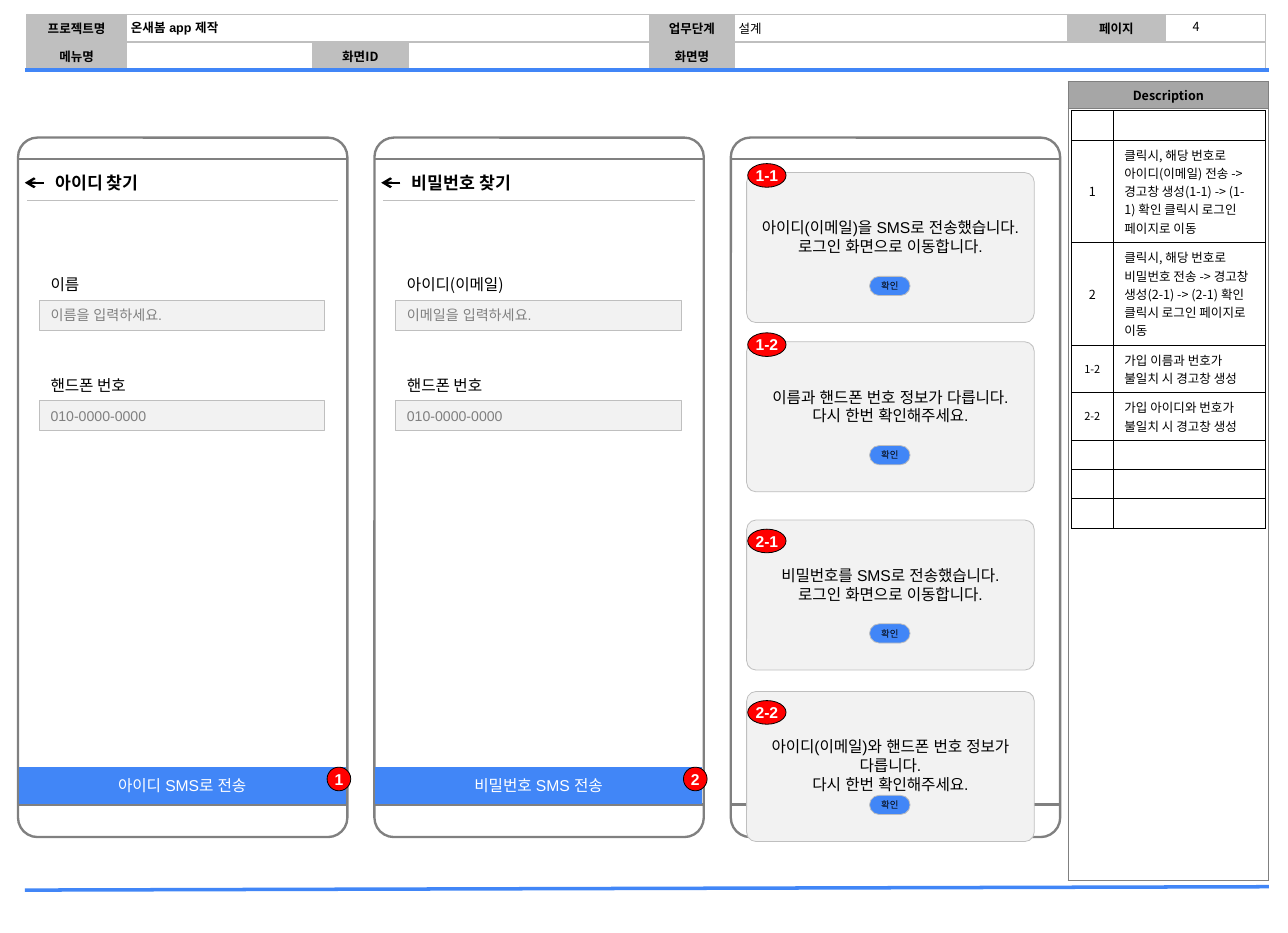
from dataclasses import dataclass
from lxml import etree
from pptx import Presentation
from pptx.dml.color import RGBColor
from pptx.enum.shapes import MSO_CONNECTOR as CONN, MSO_SHAPE as SHAPE
from pptx.enum.text import MSO_ANCHOR as ANCHOR, PP_ALIGN as ALIGN
from pptx.oxml.ns import qn
from pptx.util import Inches, Pt

# Content
HEADER = [
    ["프로젝트명", "온새봄 app 제작", "", "", "업무단계", "설계", "페이지", ""],
    ["메뉴명", "", "화면ID", "", "화면명", "", "", ""],
]
HEADER_LABELS = {"프로젝트명", "업무단계", "페이지", "메뉴명", "화면ID", "화면명"}
HEADER_COLS = [0.88, 1.65, 0.85, 2.14, 0.75, 2.96, 0.86, 0.89]
PAGE = "4"
DESCRIPTIONS = [  # number, text, row height
    ("", "", 0.26),
    ("1", "클릭시, 해당 번호로 아이디(이메일) 전송 -> 경고창 생성(1-1) -> (1-1) 확인 클릭시 로그인 페이지로 이동", 0.91),
    ("2", "클릭시, 해당 번호로 비밀번호 전송 -> 경고창 생성(2-1) -> (2-1) 확인 클릭시 로그인 페이지로 이동", 0.91),
    ("1-2", "가입 이름과 번호가 불일치 시 경고창 생성", 0.42),
    ("2-2", "가입 아이디와 번호가 불일치 시 경고창 생성", 0.42),
    ("", "", 0.26), ("", "", 0.26), ("", "", 0.26),
]
PHONE_FIELD = ("핸드폰 번호", "010-0000-0000")
SCREENS = [  # heading, fields, button, badge
    ("아이디 찾기", [("이름", "이름을 입력하세요."), PHONE_FIELD], "아이디 SMS로 전송", "1"),
    ("비밀번호 찾기", [("아이디(이메일)", "이메일을 입력하세요."), PHONE_FIELD], "비밀번호 SMS 전송", "2"),
]
DIALOGS = [  # badge, top, badge offset, paragraphs
    ("1-1", 1.53, -0.08, ["아이디(이메일)을 SMS로 전송했습니다. 로그인 화면으로 이동합니다."]),
    ("1-2", 3.03, -0.08, ["이름과 핸드폰 번호 정보가 다릅니다. 다시 한번 확인해주세요."]),
    ("2-1", 4.61, 0.08, ["비밀번호를 SMS로 전송했습니다. 로그인 화면으로 이동합니다."]),
    ("2-2", 6.13, 0.08, ["아이디(이메일)와 핸드폰 번호 정보가 다릅니다.", "다시 한번 확인해주세요."]),
]
CONFIRM = "확인"


@dataclass(frozen=True)
class Theme:
    sans: str = "Noto Sans CJK KR"
    arial: str = "Arial"
    black: str = "000000"
    white: str = "FFFFFF"
    blue: str = "4186F7"
    red: str = "FF0000"
    dark: str = "808080"
    head: str = "A6A6A6"
    mid: str = "BFBFBF"
    pale: str = "F2F2F2"
    heading: int = 11
    body: int = 10
    hint: int = 9
    small: int = 8
    note: int = 7
    tiny: int = 6


T = Theme()
PHONE_X, PHONE_Y, PHONE_W, PHONE_H, PHONE_STEP = 0.16, 1.22, 2.92, 6.2, 3.16

prs = Presentation()
prs.slide_width, prs.slide_height = Inches(11.42), Inches(8.27)
s = prs.slides.add_slide(prs.slide_layouts[6])


def rgb(color):
    return RGBColor.from_string(color)


def write(tf, lines, size, font=T.sans, color=T.black, bold=False, align=ALIGN.LEFT):
    for i, line in enumerate(lines):
        p = tf.paragraphs[0] if i == 0 else tf.add_paragraph()
        p.alignment = align
        r = p.add_run()
        r.text = line
        r.font.size, r.font.bold, r.font.name = Pt(size), bold, font
        r.font.color.rgb = rgb(color)
        etree.SubElement(r.font._element, qn("a:ea"), typeface=font)


def set_insets(tf, left, top, right, bottom):
    tf.margin_left, tf.margin_top = Inches(left), Inches(top)
    tf.margin_right, tf.margin_bottom = Inches(right), Inches(bottom)


def add_box(kind, x, y, w, h, fill, line, width=0.5, adj=None, lines=(),
            insets=(0.1, 0.05, 0.1, 0.05), anchor=ANCHOR.MIDDLE, **style):
    sp = s.shapes.add_shape(kind, Inches(x), Inches(y), Inches(w), Inches(h))
    sp.shadow.inherit = False
    if fill:
        sp.fill.solid()
        sp.fill.fore_color.rgb = rgb(fill)
    else:
        sp.fill.background()
    sp.line.color.rgb, sp.line.width = rgb(line), Pt(width)
    if adj is not None:
        sp.adjustments[0] = adj
    tf = sp.text_frame
    tf.word_wrap, tf.vertical_anchor = True, anchor
    set_insets(tf, *insets)
    if lines:
        write(tf, lines, **style)


def add_text(text, x, y, w, h, insets=(0.1, 0.05, 0.1, 0.05), **style):
    tf = s.shapes.add_textbox(Inches(x), Inches(y), Inches(w), Inches(h)).text_frame
    tf.word_wrap = True
    set_insets(tf, *insets)
    write(tf, [text], **style)


def add_line(x1, y1, x2, y2, color, width, arrow=False):
    c = s.shapes.add_connector(CONN.STRAIGHT, Inches(x1), Inches(y1), Inches(x2), Inches(y2))
    c.line.color.rgb, c.line.width = rgb(color), Pt(width)
    if arrow:
        etree.SubElement(c.line._get_or_add_ln(), qn("a:tailEnd"), type="arrow")
    etree.SubElement(c._element.spPr, qn("a:effectLst"))


def add_grid(x, y, cols, rows):
    frame = s.shapes.add_table(len(rows), len(cols), Inches(x), Inches(y),
                               Inches(sum(cols)), Inches(sum(rows)))
    table = frame.table
    table.first_row = table.horz_banding = False
    for col, w in zip(table.columns, cols):
        col.width = Inches(w)
    for row, h in zip(table.rows, rows):
        row.height = Inches(h)
    return table


def fill_cell(cell, text, fill, border, width, insets=(0.1, 0.05, 0.1, 0.05),
              size=T.small, **style):
    set_insets(cell, *insets)
    cell.vertical_anchor = ANCHOR.MIDDLE
    tcPr = cell._tc.get_or_add_tcPr()
    for side in ("lnL", "lnR", "lnT", "lnB"):
        ln = etree.SubElement(tcPr, qn("a:" + side), w=str(Pt(width)))
        etree.SubElement(etree.SubElement(ln, qn("a:solidFill")), qn("a:srgbClr"), val=border)
    if fill:
        cell.fill.solid()
        cell.fill.fore_color.rgb = rgb(fill)
    else:
        cell.fill.background()
    if text:
        write(cell.text_frame, [text], size, **style)
    else:
        etree.SubElement(cell.text_frame.paragraphs[0]._p, qn("a:endParaRPr"), sz=str(size * 100))


def add_badge(text, x, y, w):
    add_box(SHAPE.OVAL, x, y, w, 0.21, T.red, T.black, lines=[text], insets=(0, 0, 0, 0),
            size=T.body, font=T.arial, color=T.white, bold=True, align=ALIGN.CENTER)


# Page frame: header table, page number and rules
add_line(0.22, 7.89, 11.25, 7.86, T.blue, 2.25)
header = add_grid(0.24, 0.13, HEADER_COLS, [0.24, 0.24])
for i, row in enumerate(HEADER):
    for j, text in enumerate(row):
        label = text in HEADER_LABELS
        project = (i, j) == (0, 1)
        fill_cell(header.cell(i, j), text, T.mid if label else None, T.mid, 1, (0.04,) * 4,
                  font=T.arial if project else T.sans, bold=label or project,
                  align=ALIGN.CENTER if label else ALIGN.LEFT)
header.cell(0, 1).merge(header.cell(0, 3))
header.cell(1, 5).merge(header.cell(1, 7))
add_text(PAGE, 10.39, 0.13, 0.43, 0.21, (0.07, 0.04, 0.07, 0.04), size=T.small, align=ALIGN.CENTER)
add_line(0.22, 0.62, 11.25, 0.62, T.blue, 2.25)

# Description panel
panel = add_grid(9.47, 0.72, [1.78], [0.24, 6.84])
fill_cell(panel.cell(0, 0), "Description", T.head, T.dark, 0.5, (0.08, 0.04, 0.08, 0.04),
          bold=True, align=ALIGN.CENTER)
fill_cell(panel.cell(1, 0), "", T.white, T.dark, 0.5)

# Phone outlines
for i in range(3):
    x = PHONE_X + i * PHONE_STEP
    add_box(SHAPE.ROUNDED_RECTANGLE, x, PHONE_Y, PHONE_W, PHONE_H, None, T.dark, 1.5, 0.059)
    for y in (1.41, 7.13):
        add_line(x, y, x + PHONE_W, y, T.dark, 1.5)

# Description rows
notes = add_grid(9.5, 0.98, [0.37, 1.35], [h for _, _, h in DESCRIPTIONS])
for i, (number, text, _) in enumerate(DESCRIPTIONS):
    fill_cell(notes.cell(i, 0), number, T.white, T.black, 0.25,
              size=T.note if "-" in number else T.small, align=ALIGN.CENTER)
    fill_cell(notes.cell(i, 1), text, T.white, T.black, 0.25)

# Search screens
for i, (heading, fields, button, badge) in enumerate(SCREENS):
    x = PHONE_X + i * PHONE_STEP
    add_line(x + 0.08, 1.78, x + 2.84, 1.78, T.mid, 0.75)
    add_line(x + 0.23, 1.62, x + 0.06, 1.62, T.black, 1.5, arrow=True)
    add_text(heading, x + 0.33, 1.53, 1.29, 0.19, (0, 0, 0, 0), size=T.heading, bold=True)
    for k, (label, hint) in enumerate(fields):
        y = 2.39 + k * 0.89
        add_text(label, x + 0.19, y, 1.5, 0.27, size=T.body)
        add_box(SHAPE.RECTANGLE, x + 0.19, y + 0.27, 2.53, 0.27, T.pale, T.mid,
                lines=[hint], size=T.hint, font=T.arial, color=T.dark)
    add_box(SHAPE.RECTANGLE, x + 0.01, 6.8, 2.89, 0.32, T.blue, T.blue, lines=[button],
            size=T.body, font=T.arial, color=T.white, align=ALIGN.CENTER)
    add_badge(badge, x + 2.74, 6.8, 0.21)

# Alert dialogs
for badge, y, shift, lines in DIALOGS:
    add_box(SHAPE.ROUNDED_RECTANGLE, 6.62, y, 2.55, 1.33, T.pale, T.mid, adj=0.063,
            lines=lines, insets=(0.1, 0.38, 0.1, 0.05), anchor=ANCHOR.TOP,
            size=T.body, font=T.arial, align=ALIGN.CENTER)
    add_box(SHAPE.ROUNDED_RECTANGLE, 7.71, y + 0.92, 0.36, 0.17, T.blue, T.mid, adj=0.5,
            lines=[CONFIRM], insets=(0, 0, 0, 0), size=T.tiny, font=T.arial, align=ALIGN.CENTER)
    add_badge(badge, 6.63, y + shift, 0.34)

prs.save("out.pptx")
